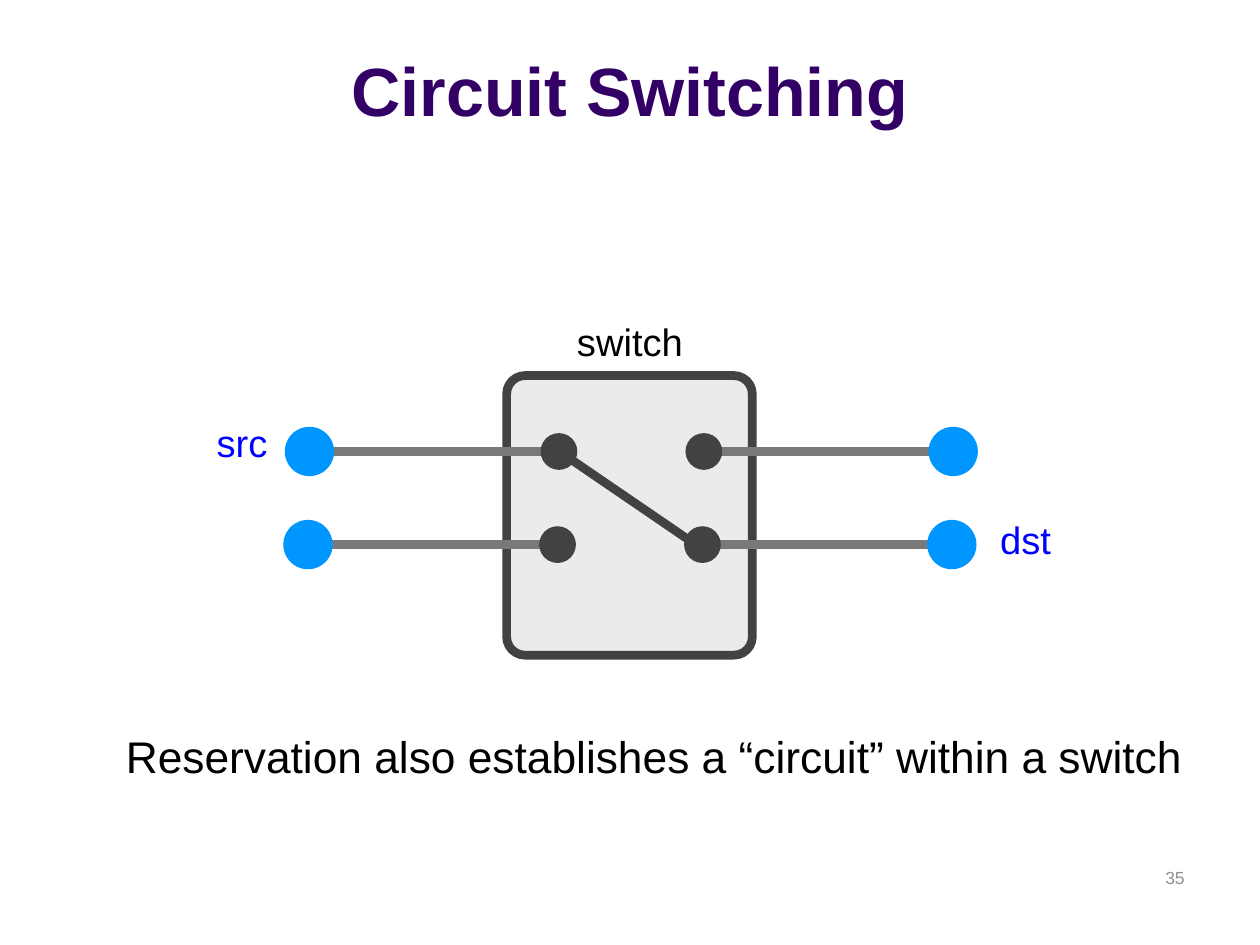
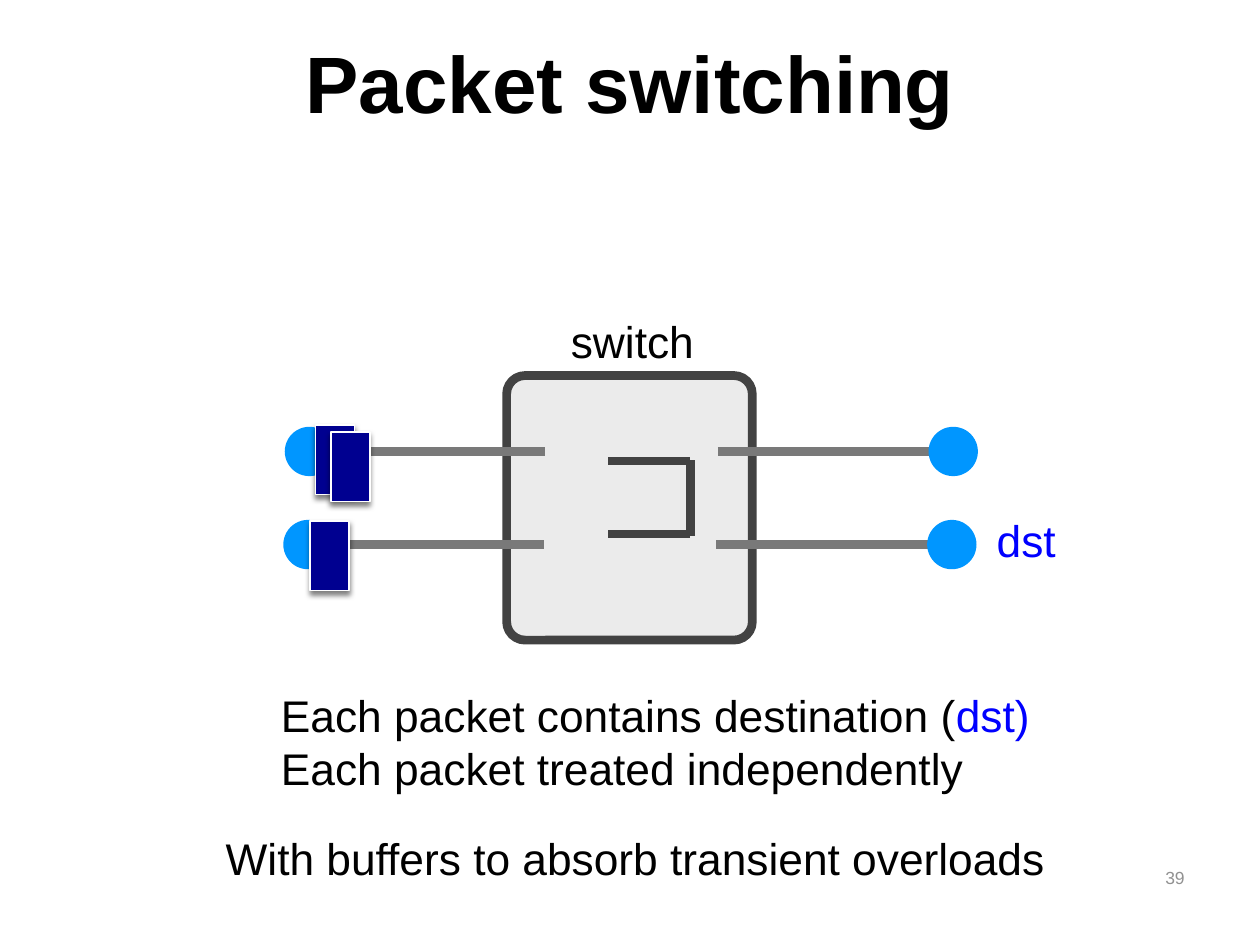
from lxml import etree
from pptx import Presentation
from pptx.dml.color import RGBColor
from pptx.enum.shapes import MSO_CONNECTOR, MSO_SHAPE
from pptx.enum.text import MSO_ANCHOR, MSO_AUTO_SIZE, PP_ALIGN
from pptx.oxml.ns import qn
from pptx.util import Pt

STRAIGHT = MSO_CONNECTOR.STRAIGHT
OVAL, RECTANGLE, ROUNDED = MSO_SHAPE.OVAL, MSO_SHAPE.RECTANGLE, MSO_SHAPE.ROUNDED_RECTANGLE
MIDDLE, BOTTOM = MSO_ANCHOR.MIDDLE, MSO_ANCHOR.BOTTOM
FIT_SHAPE, FIT_NONE = MSO_AUTO_SIZE.SHAPE_TO_FIT_TEXT, MSO_AUTO_SIZE.NONE
LEFT, CENTER, RIGHT = PP_ALIGN.LEFT, PP_ALIGN.CENTER, PP_ALIGN.RIGHT

COLORS = {
    "black": "000000",
    "white": "FFFFFF",
    "purple": "330066",
    "label": "0000FF",
    "host": "0096FF",
    "packet": "000090",
    "panel": "EBEBEB",
    "dark": "424242",
    "wire": "797979",
    "number": "919191",
}
FONT = "Arial"
TITLE_ONLY = 5
THICK = 5
HOST_SIZE, PORT_SIZE = 28.2, 21
ROWS = [(0, 258), (-0.8, 311.2)]
HOST_COLUMNS = [176.8, 544.7]
PORT_COLUMNS = [319.4, 402.2]
WIRES = [(180, 311.6), (410.2, 541.5)]
PACKETS = [(180.3, 243), (189, 247), (177.3, 297.8)]


def color(name):
    """Return the named palette colour."""
    return RGBColor.from_string(COLORS[name])


def write_text(frame, lines, size=25.3, tint="black", bold=False, align=LEFT):
    """Write lines, each a string or a list of (text, colour name) runs."""
    for index, line in enumerate(lines):
        paragraph = frame.paragraphs[0] if index == 0 else frame.add_paragraph()
        paragraph.alignment = align
        runs = [(line, tint)] if isinstance(line, str) else line
        for text, run_tint in runs:
            run = paragraph.add_run()
            run.text = text
            run.font.name = FONT
            run.font.size = Pt(size)
            run.font.bold = bold
            run.font.color.rgb = color(run_tint)


def add_label(slide, lines, left, top, width, height, **text_format):
    """Add an unwrapped text box that fits its text."""
    frame = slide.shapes.add_textbox(Pt(left), Pt(top), Pt(width), Pt(height)).text_frame
    frame.margin_left = frame.margin_right = Pt(2.8)
    frame.margin_top = frame.margin_bottom = Pt(2.8)
    frame.vertical_anchor = MIDDLE
    frame.word_wrap = False
    frame.auto_size = FIT_SHAPE
    write_text(frame, lines, **text_format)


def add_shape(slide, kind, left, top, width, height, fill, outline=None, weight=1):
    """Add a flat preset shape."""
    shape = slide.shapes.add_shape(kind, Pt(left), Pt(top), Pt(width), Pt(height))
    shape.shadow.inherit = False
    shape.fill.solid()
    shape.fill.fore_color.rgb = color(fill)
    if outline:
        shape.line.color.rgb = color(outline)
        shape.line.width = Pt(weight)
    else:
        shape.line.fill.background()
    return shape


def add_dot(slide, x, y, size, fill):
    """Add a circle around a centre point."""
    add_shape(slide, OVAL, x - size / 2, y - size / 2, size, size, fill)


def add_line(shapes, start, end, tint):
    """Add a thick straight line to a slide's or group's shapes."""
    connector = shapes.add_connector(STRAIGHT, *map(Pt, (*start, *end)))
    connector.line.color.rgb = color(tint)
    connector.line.width = Pt(THICK)
    etree.SubElement(connector._element.spPr, qn("a:effectLst"))


def add_packet(slide, left, top):
    """Add a packet with a soft shadow below it."""
    packet = add_shape(slide, RECTANGLE, left, top, 22.3, 39.6, "packet", "white")
    effects = packet._element.spPr.find(qn("a:effectLst"))
    shadow = etree.SubElement(effects, qn("a:outerShdw"), blurRad=str(Pt(3)),
                              dist=str(Pt(2)), dir="5400000", rotWithShape="0")
    tint = etree.SubElement(shadow, qn("a:srgbClr"), val=COLORS["black"])
    etree.SubElement(tint, qn("a:alpha"), val="50000")


def add_network(slide, switch_height):
    """Draw the switch with a wire and a host on each side of each row."""
    switch = add_shape(slide, ROUNDED, 289.5, 214.6, 140.4, switch_height,
                       "panel", "dark", THICK)
    switch.adjustments[0] = 0.075
    for shift, y in ROWS:
        for (start, end), host_x in zip(WIRES, HOST_COLUMNS):
            add_line(slide.shapes, (start + shift, y), (end + shift, y), "wire")
            add_dot(slide, host_x + shift, y, HOST_SIZE, "host")


def add_circuit(slide):
    """Draw the ports and the reserved path between two of them."""
    add_line(slide.shapes, (322.6, 260), (402.5, 314.6), "dark")
    for shift, y in ROWS:
        for port_x in PORT_COLUMNS:
            add_dot(slide, port_x + shift, y, PORT_SIZE, "dark")


def add_buffer(slide):
    """Draw the open-ended buffer inside the switch."""
    left, right, top, bottom = 347.6, 394.4, 263.4, 305.2
    shapes = slide.shapes.add_group_shape().shapes
    add_line(shapes, (right, bottom + 0.8), (right, top - 0.8), "dark")
    for y in (top, bottom):
        add_line(shapes, (left, y), (right, y), "dark")


def add_slide(presentation, title, number, size, tint):
    """Add a slide with its title and page number."""
    slide = presentation.slides.add_slide(presentation.slide_layouts[TITLE_ONLY])
    heading = slide.shapes.title
    heading.left, heading.top, heading.width, heading.height = map(Pt, (0, 9.4, 720, 68.4))
    heading.text_frame.vertical_anchor = BOTTOM
    heading.text_frame.auto_size = FIT_NONE
    write_text(heading.text_frame, [title], size=size, tint=tint, bold=True, align=CENTER)
    footer = slide.shapes.add_textbox(Pt(516), Pt(491.8), Pt(168), Pt(36)).text_frame
    footer.word_wrap = True
    write_text(footer, [number], size=10, tint="number", align=RIGHT)
    return slide


def build_circuit_slide(presentation):
    """Build the circuit switching slide."""
    slide = add_slide(presentation, "Circuit Switching", "35", 39, "purple")
    add_network(slide, 159.8)
    add_circuit(slide)
    add_label(slide, ["switch"], 326.9, 178.9, 66.7, 32.1, size=21.8)
    add_label(slide, ["src"], 121, 236.4, 35.1, 32.1, size=21.8, tint="label")
    add_label(slide, ["dst"], 568.7, 292.3, 35.1, 32.1, size=21.8, tint="label")
    add_label(slide, ["Reservation also establishes a “circuit” within a switch"],
              69.1, 413.6, 614.9, 36.3)


def build_packet_slide(presentation):
    """Build the packet switching slide."""
    slide = add_slide(presentation, "Packet switching", "39", 45.7, "black")
    add_network(slide, 151.2)
    add_buffer(slide)
    for left, top in PACKETS:
        add_packet(slide, left, top)
    add_label(slide, ["With buffers to absorb transient overloads"], 126.1, 471.8, 478, 36.3)
    add_label(slide, ["switch"], 323.4, 176.6, 76.3, 36.3)
    add_label(slide, ["dst"], 566.7, 290.4, 39.6, 36.3, tint="label")
    add_label(slide, [[("Each packet contains destination (", "black"), ("dst)", "label")],
                      "Each packet treated independently"], 157.7, 390.2, 437.8, 67)


def main():
    """Build and save the presentation."""
    presentation = Presentation()
    presentation.slide_width, presentation.slide_height = Pt(720), Pt(540)
    build_circuit_slide(presentation)
    build_packet_slide(presentation)
    presentation.save("out.pptx")


if __name__ == "__main__":
    main()
